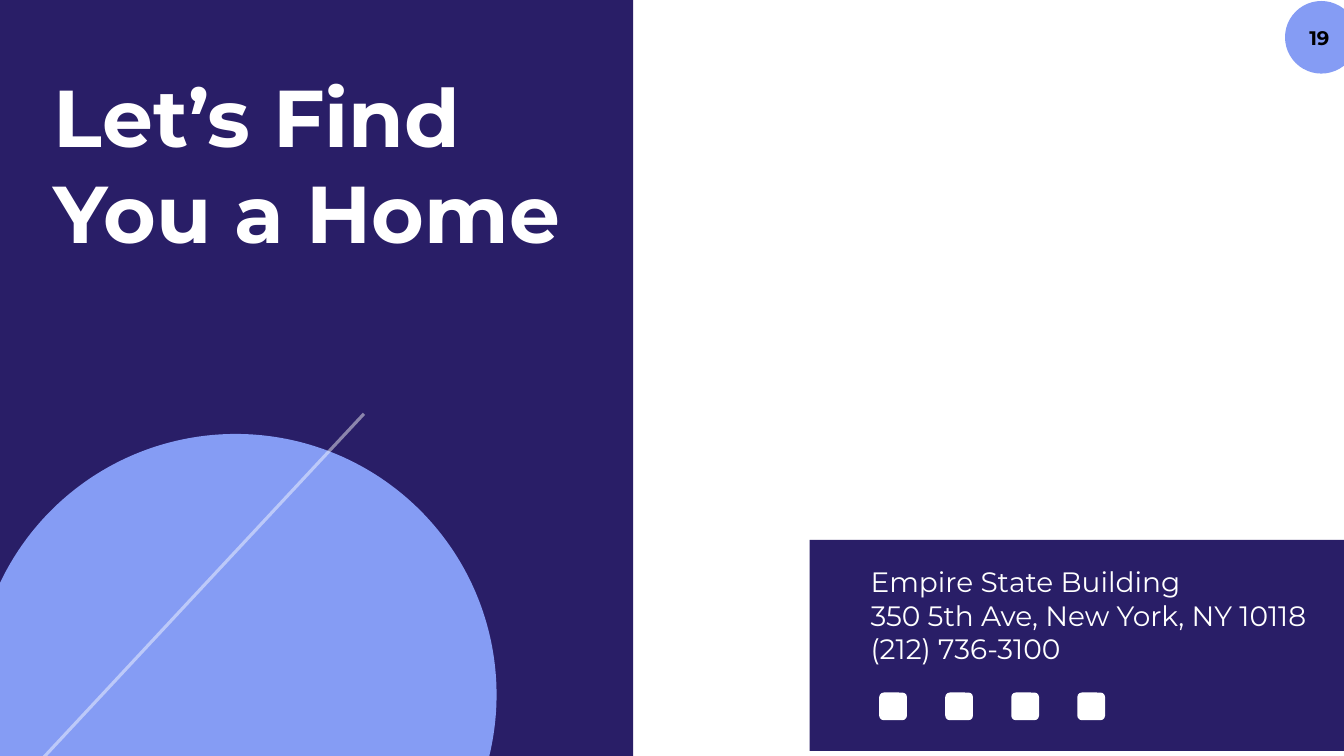
from pptx import Presentation
from pptx.dml.color import RGBColor
from pptx.enum.shapes import MSO_CONNECTOR, MSO_SHAPE
from pptx.enum.text import MSO_ANCHOR, PP_ALIGN
from pptx.oxml.ns import qn
from pptx.util import Inches, Pt
from lxml.etree import SubElement

NAVY, BLUE, WHITE, BLACK = "291E67", "859CF4", "FFFFFF", "000000"


def color(hex_value):
    return RGBColor.from_string(hex_value)


def add_filled(s, kind, x, y, w, h, fill):
    sp = s.shapes.add_shape(kind, Inches(x), Inches(y), Inches(w), Inches(h))
    sp.shadow.inherit = False
    sp.fill.solid()
    sp.fill.fore_color.rgb = color(fill)
    sp.line.fill.background()
    return sp


def write_text(sp, lines, size, fill, bold=False, align=PP_ALIGN.LEFT, **frame):
    tf = sp.text_frame
    for name, value in {"word_wrap": True, "vertical_anchor": MSO_ANCHOR.TOP, **frame}.items():
        setattr(tf, name, value)
    tf.text = "\n".join(lines)
    for p in tf.paragraphs:
        p.alignment = align
        for name, value in {"name": "Montserrat", "size": Pt(size), "bold": bold}.items():
            setattr(p.font, name, value)
        p.font.color.rgb = color(fill)


def add_accent_line(s, start, end):
    line = s.shapes.add_connector(MSO_CONNECTOR.STRAIGHT, *map(Inches, start + end))
    line.line.width = Pt(4.5)
    line.line.color.rgb = color(WHITE)
    sp_pr = line.element.spPr
    srgb = sp_pr.find(".//" + qn("a:srgbClr"))
    SubElement(srgb, qn("a:alpha"), val="45000")
    SubElement(sp_pr, qn("a:effectLst"))


def add_page_badge(s, x, y, size):
    add_filled(s, MSO_SHAPE.OVAL, x, y, size, size, BLUE)
    number = s.shapes.add_textbox(Inches(x - 0.09), Inches(y + 0.39), Inches(1.38), Inches(0.67))
    write_text(number, ["19"], 28, BLACK, True, PP_ALIGN.RIGHT,
               margin_top=Inches(0.1), margin_right=Inches(0.41))


def add_title_panel(s, x, y, w, h):
    panel = add_filled(s, MSO_SHAPE.RECTANGLE, x, y, w, h, NAVY)
    title = s.shapes.title
    panel.element.addnext(title.element)
    box = {"left": x + 0.97, "top": y + 1.27, "width": 10.62, "height": 3.97}
    for name, value in box.items():
        setattr(title, name, Inches(value))
    write_text(title, ["Let’s Find", "You a Home"], 115, WHITE, True)
    add_filled(s, MSO_SHAPE.OVAL, x - 0.5, y + 8.61, 10.35, 10.35, BLUE)
    add_accent_line(s, (x + 7.22, y + 8.21), (x - 1.15, y + 17.19))


def add_contact_panel(s, x, y, w, h):
    add_filled(s, MSO_SHAPE.RECTANGLE, x, y, w, h, NAVY)
    address = s.shapes.add_textbox(Inches(x + 1.11), Inches(y + 0.44), Inches(9.59), Inches(2.12))
    write_text(address, ["Empire State Building", "350 5th Ave, New York, NY 10118", "(212) 736-3100"],
               40, WHITE)
    icon, pitch = 0.55, 1.31
    for i in range(4):
        add_filled(s, MSO_SHAPE.ROUNDED_RECTANGLE, x + 1.38 + i * pitch, y + 3.03, icon, icon, WHITE)


def main():
    prs = Presentation()
    prs.slide_width, prs.slide_height = Inches(26.66), Inches(15)
    s = prs.slides.add_slide(prs.slide_layouts.get_by_name("Title Only"))
    s.background.fill.solid()
    s.background.fill.fore_color.rgb = color(WHITE)
    add_page_badge(s, 25.49, 0.02, 1.44)
    add_title_panel(s, 0, 0, 12.56, 15)
    add_contact_panel(s, 16.06, 10.71, 10.6, 4.19)
    prs.save("out.pptx")


if __name__ == "__main__":
    main()
